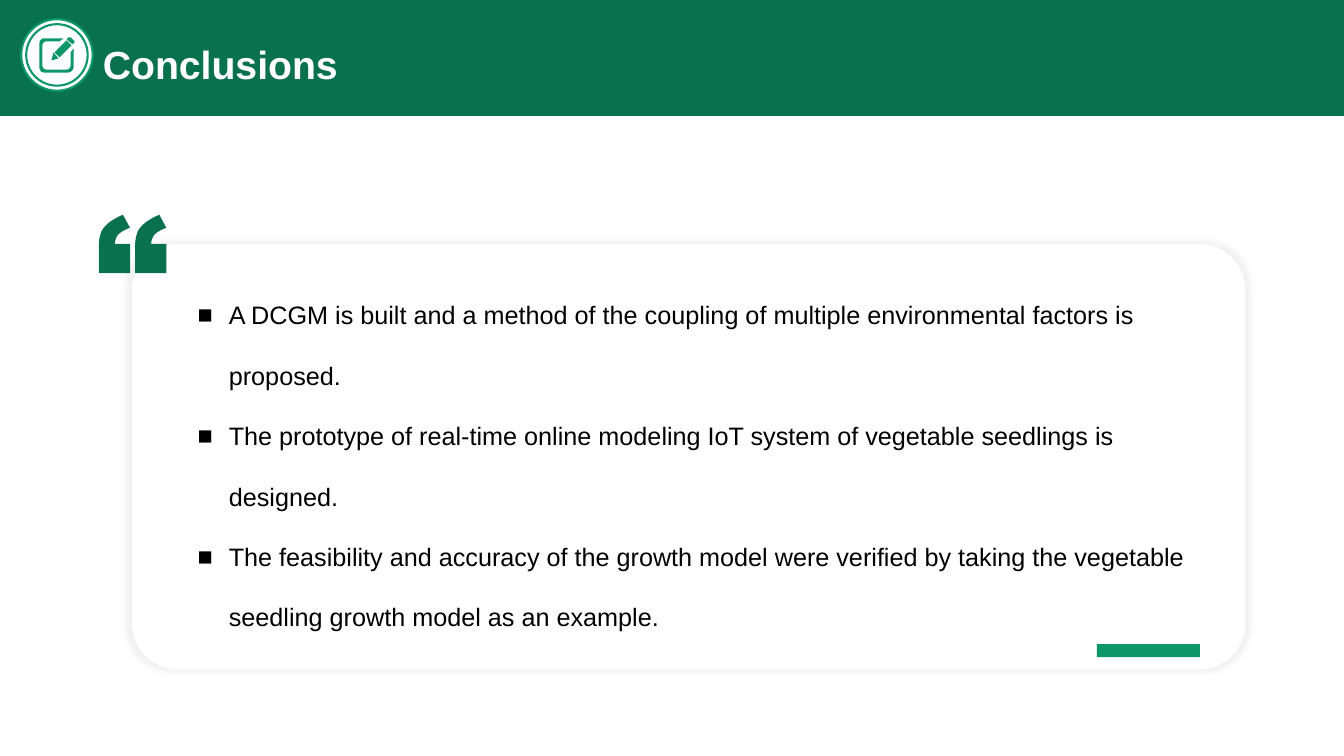
import lxml.etree
import pptx
import pptx.dml.color
import pptx.enum.shapes
import pptx.enum.text
import pptx.oxml.ns
import pptx.util

GREEN = pptx.dml.color.RGBColor(0x0A, 0x71, 0x4F)
ACCENT = pptx.dml.color.RGBColor(0x0D, 0x97, 0x69)
WHITE = pptx.dml.color.RGBColor(0xFF, 0xFF, 0xFF)
BLACK = pptx.dml.color.RGBColor(0x00, 0x00, 0x00)

WIDTH, HEIGHT = 13.33, 7.5
CURVE_STEPS = 8
UNITS_PER_INCH = 1000

CONCLUSIONS = [
    "A DCGM is built and a method of the coupling of multiple environmental factors is proposed.",
    "The prototype of real-time online modeling IoT system of vegetable seedlings is designed.",
    "The feasibility and accuracy of the growth model were verified by taking the vegetable "
    "seedling growth model as an example.",
]

# Outlines in inches: a pair is a corner, six numbers are a Bézier curve.
PENCIL_ICON = [
    [(0.73, 0.43), (0.72, 0.44), (0.66, 0.39), (0.68, 0.37),
     (0.69, 0.37, 0.70, 0.37, 0.70, 0.37), (0.74, 0.41),
     (0.74, 0.41, 0.74, 0.42, 0.73, 0.43)],
    [(0.59, 0.57), (0.54, 0.52), (0.66, 0.40), (0.71, 0.45)],
    [(0.58, 0.58), (0.51, 0.60), (0.53, 0.52)],
    [(0.46, 0.41), (0.44, 0.41, 0.42, 0.43, 0.42, 0.45), (0.42, 0.65),
     (0.42, 0.67, 0.44, 0.69, 0.46, 0.69), (0.66, 0.69),
     (0.68, 0.69, 0.70, 0.67, 0.70, 0.65), (0.70, 0.52), (0.73, 0.48), (0.73, 0.66),
     (0.73, 0.70, 0.70, 0.72, 0.67, 0.72), (0.44, 0.72),
     (0.41, 0.72, 0.39, 0.70, 0.39, 0.66), (0.39, 0.44),
     (0.39, 0.40, 0.41, 0.38, 0.44, 0.38), (0.63, 0.38), (0.59, 0.41)],
]
QUOTE_MARK = [
    (1.22, 2.13), (1.29, 2.26), (1.23, 2.28, 1.19, 2.31, 1.17, 2.33),
    (1.15, 2.36, 1.14, 2.39, 1.14, 2.42), (1.29, 2.42), (1.29, 2.71),
    (0.98, 2.71), (0.98, 2.47), (0.98, 2.38, 0.99, 2.31, 1.03, 2.26),
    (1.07, 2.21, 1.13, 2.17, 1.22, 2.13),
]
QUOTE_STEP = 0.36


def flatten(outline):
    """Turn corners and curves into a list of points in freeform units."""
    points = []
    for segment in outline:
        if len(segment) == 2:
            points.append(segment)
            continue
        controls = [points[-1], segment[:2], segment[2:4], segment[4:]]
        for step in range(1, CURVE_STEPS + 1):
            t = step / CURVE_STEPS
            weights = ((1 - t) ** 3, 3 * t * (1 - t) ** 2, 3 * t * t * (1 - t), t ** 3)
            points.append(tuple(sum(weight * control[axis]
                                    for weight, control in zip(weights, controls))
                                for axis in (0, 1)))
    return [(round(x * UNITS_PER_INCH), round(y * UNITS_PER_INCH)) for x, y in points]


class SlideBuilder:
    font_name = "Arial"

    def __init__(self, presentation):
        self.presentation = presentation
        self.slide = presentation.slides.add_slide(presentation.slide_layouts[1])

    def box(self, left, top, width, height):
        """Convert shares of the slide's size into lengths."""
        across, down = self.presentation.slide_width, self.presentation.slide_height
        return (round(left * across), round(top * down),
                round(width * across), round(height * down))

    def paint(self, shape, fill, line=None):
        shape.shadow.inherit = False
        shape.fill.solid()
        shape.fill.fore_color.rgb = fill
        if line is None:
            shape.line.fill.background()
        else:
            shape.line.color.rgb = line
            shape.line.width = pptx.util.Pt(1.5)
        return shape

    def shape(self, kind, box, fill, line=None):
        return self.paint(self.slide.shapes.add_shape(kind, *self.box(*box)), fill, line)

    def card(self, box, corner):
        card = self.shape(pptx.enum.shapes.MSO_SHAPE.ROUNDED_RECTANGLE, box, WHITE)
        card.adjustments[0] = corner
        effects = card._element.spPr.find(pptx.oxml.ns.qn("a:effectLst"))
        shadow = lxml.etree.SubElement(
            effects, pptx.oxml.ns.qn("a:outerShdw"), blurRad=str(pptx.util.Pt(5)),
            sx="101000", sy="101000", algn="ctr", rotWithShape="0")
        color = lxml.etree.SubElement(shadow, pptx.oxml.ns.qn("a:srgbClr"), val=str(BLACK))
        lxml.etree.SubElement(color, pptx.oxml.ns.qn("a:alpha"), val="5000")

    def outline(self, outlines, fill):
        first, *others = [flatten(outline) for outline in outlines]
        builder = self.slide.shapes.build_freeform(
            *first[0], scale=pptx.util.Inches(1) / UNITS_PER_INCH)
        builder.add_line_segments(first[1:], close=True)
        for points in others:
            builder.move_to(*points[0])
            builder.add_line_segments(points[1:], close=True)
        self.paint(builder.convert_to_shape(), fill)

    def placeholder(self, index, box, lines, size, color, spacing, bold=False, bullet=None):
        """Fill a template placeholder and bring it to the front."""
        shape = self.slide.placeholders[index]
        shape.left, shape.top, shape.width, shape.height = self.box(*box)
        self.slide.shapes._spTree.append(shape._element)
        frame = shape.text_frame
        frame.text = "\n".join(lines)
        frame.word_wrap = True
        frame.auto_size = pptx.enum.text.MSO_AUTO_SIZE.NONE
        frame.vertical_anchor = pptx.enum.text.MSO_ANCHOR.TOP
        for paragraph in frame.paragraphs:
            paragraph.alignment = pptx.enum.text.PP_ALIGN.LEFT
            paragraph.line_spacing = spacing
            paragraph.space_before = paragraph.space_after = pptx.util.Pt(0)
            if bullet:
                self.bullet(paragraph, bullet)
            for run in paragraph.runs:
                run.font.name = self.font_name
                run.font.size = pptx.util.Pt(size)
                run.font.bold = bold
                run.font.color.rgb = color

    def bullet(self, paragraph, character):
        properties = paragraph._p.get_or_add_pPr()
        indent = pptx.util.Inches(0.31)
        properties.set("marL", str(indent))
        properties.set("indent", str(-indent))
        lxml.etree.SubElement(properties, pptx.oxml.ns.qn("a:buFont"), typeface=self.font_name)
        lxml.etree.SubElement(properties, pptx.oxml.ns.qn("a:buChar"), char=character)


def main():
    presentation = pptx.Presentation()
    presentation.slide_width = pptx.util.Inches(WIDTH)
    presentation.slide_height = pptx.util.Inches(HEIGHT)
    builder = SlideBuilder(presentation)
    shapes = pptx.enum.shapes.MSO_SHAPE

    builder.shape(shapes.RECTANGLE, (0, 0, 1, 1.15 / HEIGHT), GREEN)
    builder.placeholder(0, (0.92 / WIDTH, 0.12 / HEIGHT, 2.91 / WIDTH, 0.72 / HEIGHT),
                        ["Conclusions"], 28, WHITE, 1.5, bold=True)
    for inset in (0, 0.05):
        diameter = 0.71 - 2 * inset
        builder.shape(shapes.OVAL, ((0.21 + inset) / WIDTH, (0.19 + inset) / HEIGHT,
                                    diameter / WIDTH, diameter / HEIGHT), WHITE, ACCENT)
    builder.outline(PENCIL_ICON, ACCENT)

    builder.card((1.31 / WIDTH, 2.42 / HEIGHT, 11.04 / WIDTH, 4.22 / HEIGHT), 0.107)
    second_mark = [tuple(value + QUOTE_STEP * (position % 2 == 0)
                         for position, value in enumerate(segment)) for segment in QUOTE_MARK]
    builder.outline([QUOTE_MARK, second_mark], GREEN)
    builder.shape(shapes.RECTANGLE, (10.88 / WIDTH, 6.39 / HEIGHT,
                                     1.02 / WIDTH, 0.13 / HEIGHT), ACCENT)
    builder.placeholder(1, (1.86 / WIDTH, 2.62 / HEIGHT, 10.3 / WIDTH, 3.64 / HEIGHT),
                        CONCLUSIONS, 18, BLACK, 2.0, bullet="■")
    presentation.save("out.pptx")


if __name__ == "__main__":
    main()
